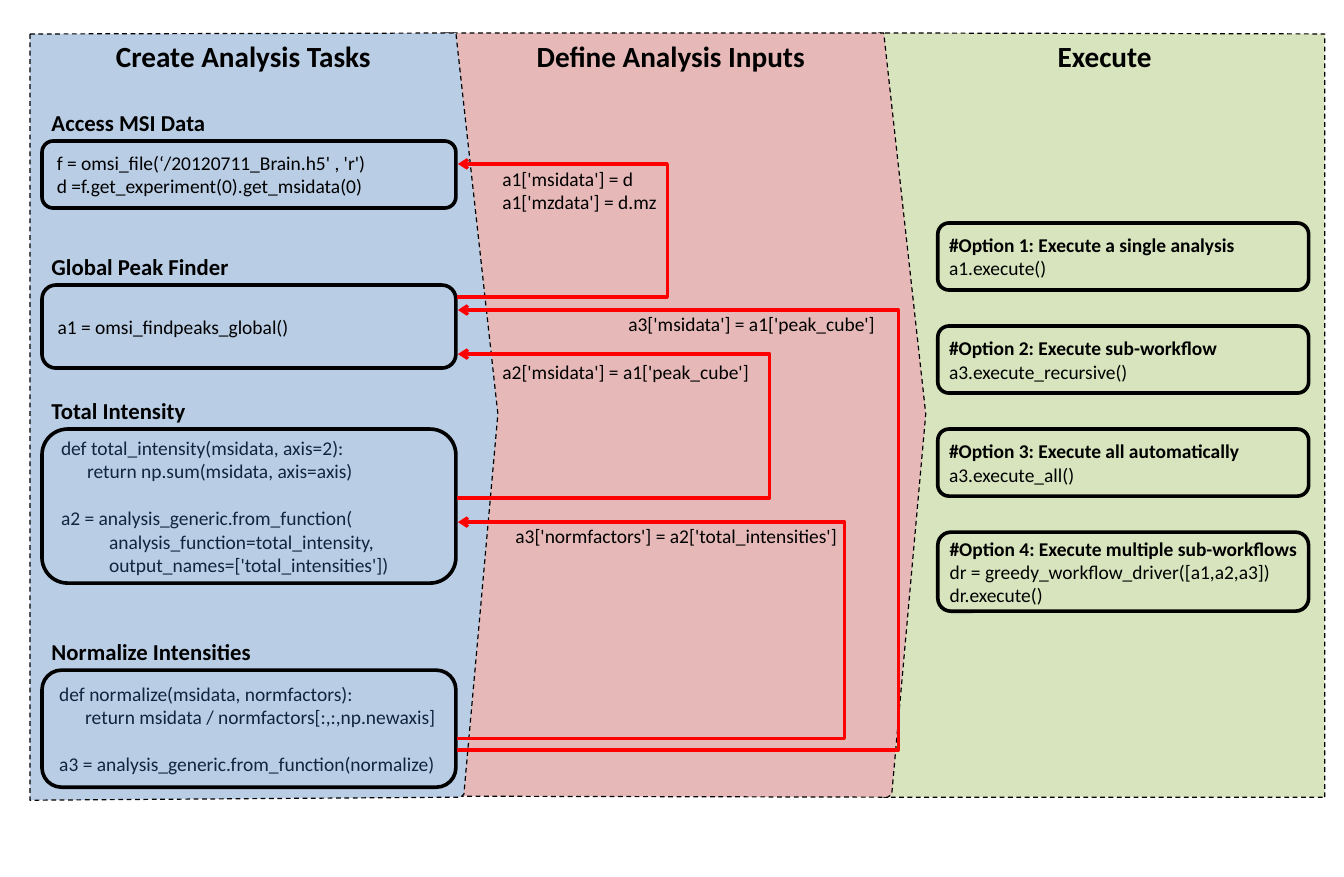
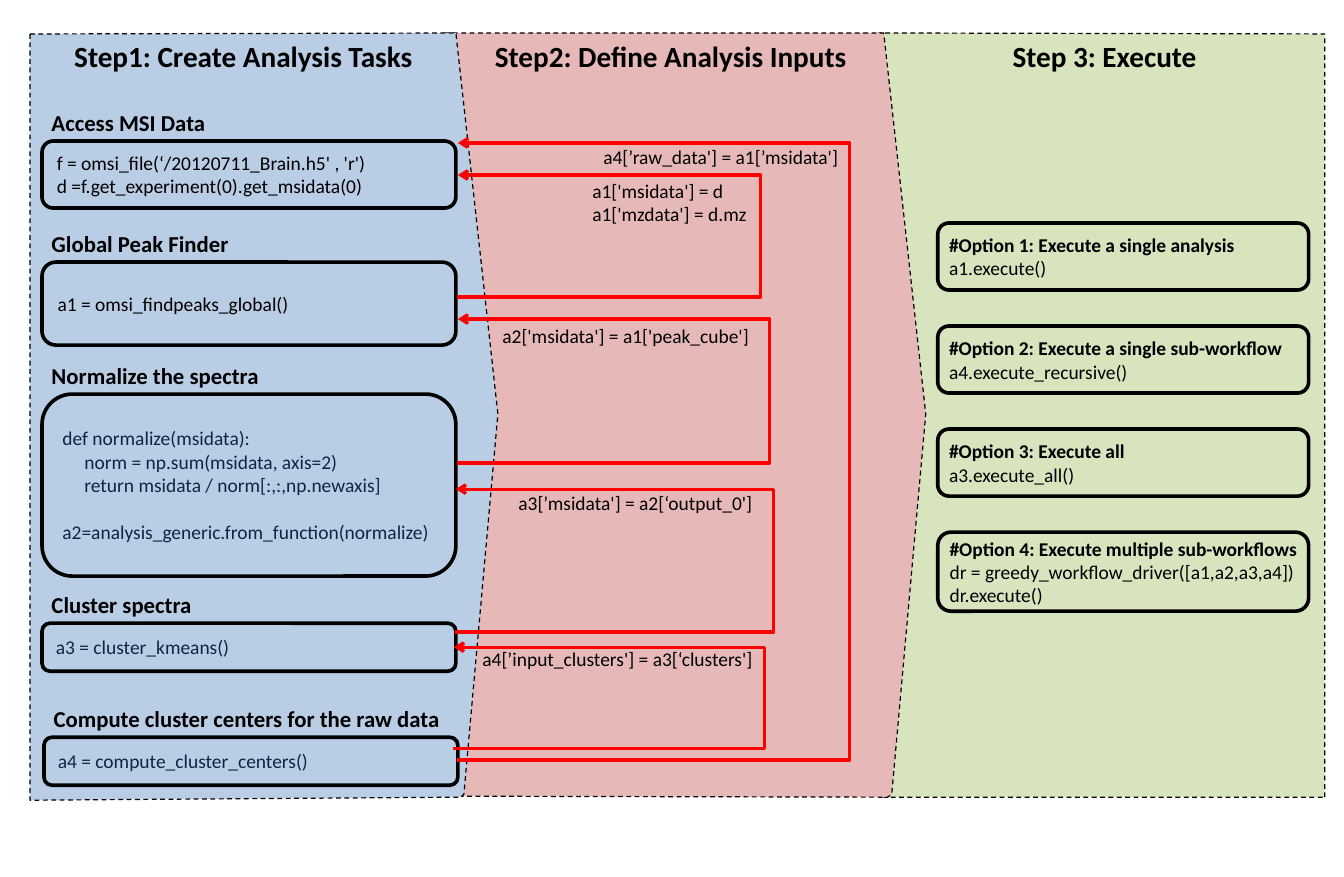
"""Builds two slides showing an analysis workflow in three columns: tasks, inputs, execution."""
from collections import namedtuple
from dataclasses import dataclass

from lxml.etree import SubElement
from pptx import Presentation
from pptx.dml.color import RGBColor as RGB
from pptx.enum.dml import MSO_LINE as Dash
from pptx.enum.shapes import MSO_CONNECTOR as Link, MSO_SHAPE as Preset
from pptx.enum.text import MSO_ANCHOR as Anchor, PP_ALIGN as Align
from pptx.oxml.ns import qn
from pptx.util import Inches, Pt

PX = Inches(1) / 116.9


@dataclass(frozen=True)
class Theme:
    font: str = "Calibri"
    black: RGB = RGB(0x00, 0x00, 0x00)
    navy: RGB = RGB(0x10, 0x25, 0x3F)
    red: RGB = RGB(0xFF, 0x00, 0x00)
    blue_panel: RGB = RGB(0xB9, 0xCD, 0xE5)
    pink_panel: RGB = RGB(0xE6, 0xB9, 0xB8)
    green_panel: RGB = RGB(0xD7, 0xE4, 0xBD)
    column_size: float = 18
    heading_size: float = 14
    code_size: float = 12
    code_gap: float = 14.6
    panel_line: float = 0.75
    box_line: float = 2.25
    arrow_line: float = 2


theme = Theme()
Line = namedtuple("Line", "text indent gap bold", defaults=(0, 0, False))
Task = namedtuple("Task", "heading top height colour code left", defaults=(42,))
Input = namedtuple("Input", "source_y target_y elbow_x label_left label_top label_width code x",
                   defaults=(457,))


def place(slide, left, top, width, height, rounded=False):
    area = [round(length * PX) for length in (left, top, width, height)]
    if not rounded:
        return slide.shapes.add_textbox(*area)
    box = slide.shapes.add_shape(Preset.ROUNDED_RECTANGLE, *area)
    box.shadow.inherit = False
    box.fill.background()
    box.line.color.rgb = theme.black
    box.line.width = Pt(theme.box_line)
    box.text_frame.vertical_anchor = Anchor.MIDDLE
    return box


def write(holder, lines, size, colour=theme.black, align=Align.LEFT):
    frame = holder.text_frame
    frame.word_wrap = True
    frame.text = "\n".join(line.text for line in lines)
    for paragraph, line in zip(frame.paragraphs, lines):
        paragraph.alignment = align
        if line.gap:
            paragraph.space_before = Pt(line.gap)
        if line.indent:
            paragraph._p.get_or_add_pPr().set("marL", str(round(line.indent * PX)))
        font = paragraph.runs[0].font
        font.name, font.size, font.bold = theme.font, Pt(size), line.bold
        font.color.rgb = colour


panels = [
    (theme.green_panel, [(1325, 797), (1325, 34), (879, 33), (876, 36), (842, 416), (884, 797)]),
    (theme.pink_panel, [(443, 33), (443, 796), (888, 797), (892, 794), (926, 414), (884, 33)]),
    (theme.blue_panel, [(30, 34), (30, 800), (461, 797), (464, 794), (498, 414), (456, 33)]),
]
columns = [(30, 427), (456, 430), (885, 440)]

access_data = Task("Access MSI Data", 141, 67, theme.black, [
    Line("f = omsi_file(‘/20120711_Brain.h5' , 'r')"),
    Line("d =f.get_experiment(0).get_msidata(0)"),
])
find_peaks = Task("Global Peak Finder", 285, 83, theme.black, [
    Line("a1 = omsi_findpeaks_global()"),
])
peak_inputs = [Line("a1['msidata'] = d"), Line("a1['mzdata'] = d.mz")]
intensity_inputs = [Line("a2['msidata'] = a1['peak_cube']")]
single_analysis = ["#Option 1: Execute a single analysis", "a1.execute()"]
many_workflows = "#Option 4: Execute multiple sub-workflows"

workflows = [
    {
        "titles": ["Create Analysis Tasks", "Define Analysis Inputs", "Execute"],
        "tasks": [
            access_data,
            find_peaks,
            Task("Total Intensity", 429, 154, theme.navy, [
                Line("def total_intensity(msidata, axis=2):"),
                Line("return np.sum(msidata, axis=axis)", 26),
                Line("a2 = analysis_generic.from_function(", gap=theme.code_gap),
                Line("analysis_function=total_intensity,", 48),
                Line("output_names=['total_intensities'])", 48),
            ]),
            Task("Normalize Intensities", 670, 117, theme.navy, [
                Line("def normalize(msidata, normfactors):"),
                Line("return msidata / normfactors[:,:,np.newaxis]", 26),
                Line("a3 = analysis_generic.from_function(normalize)", gap=theme.code_gap),
            ]),
        ],
        "inputs": [
            Input(750, 310, 893, 617, 306, 274, [Line("a3['msidata'] = a1['peak_cube']")]),
            Input(297, 164, 665, 491, 161, 183, peak_inputs),
            Input(498, 354, 766, 491, 354, 274, intensity_inputs),
            Input(738, 522, 840, 504, 518, 351,
                  [Line("a3['normfactors'] = a2['total_intensities']")]),
        ],
        "options": [
            single_analysis,
            ["#Option 2: Execute sub-workflow", "a3.execute_recursive()"],
            ["#Option 3: Execute all automatically", "a3.execute_all()"],
            [many_workflows, "dr = greedy_workflow_driver([a1,a2,a3])", "dr.execute()"],
        ],
    },
    {
        "titles": ["Step1: Create Analysis Tasks", "Step2: Define Analysis Inputs",
                   "Step 3: Execute"],
        "tasks": [
            access_data,
            find_peaks._replace(top=262),
            Task("Normalize the spectra", 394, 182, theme.navy, [
                Line("def normalize(msidata):"),
                Line("norm = np.sum(msidata, axis=2)", 22),
                Line("return msidata / norm[:,:,np.newaxis]", 22),
                Line("a2=analysis_generic.from_function(normalize)", gap=theme.code_gap),
            ]),
            Task("Cluster spectra", 623, 48, theme.navy, [Line("a3 = cluster_kmeans()")]),
            Task("Compute cluster centers for the raw data", 737, 48, theme.navy,
                 [Line("a4 = compute_cluster_centers()")], 44),
        ],
        "inputs": [
            Input(297, 175, 757, 581, 173, 183, peak_inputs),
            Input(463, 319, 766, 491, 318, 274, intensity_inputs),
            Input(632, 489, 770, 507, 485, 262, [Line("a3[’msidata'] = a2[‘output_0']")], 455),
            Input(748, 647, 761, 471, 641, 299,
                  [Line("a4[’input_clusters'] = a3[‘clusters']")], 453),
            Input(760, 143, 845, 592, 139, 263, [Line("a4[’raw_data'] = a1[’msidata']")]),
        ],
        "options": [
            single_analysis,
            ["#Option 2: Execute a single sub-workflow", "a4.execute_recursive()"],
            ["#Option 3: Execute all", "a3.execute_all()"],
            [many_workflows, "dr = greedy_workflow_driver([a1,a2,a3,a4])", "dr.execute()"],
        ],
    },
]

deck = Presentation()
deck.slide_width, deck.slide_height = Inches(11.5), Inches(7.5)
blank_layout = deck.slide_layouts[6]

for workflow in workflows:
    slide = deck.slides.add_slide(blank_layout)

    for colour, corners in panels:
        outline = slide.shapes.build_freeform(*corners[0], scale=PX)
        outline.add_line_segments(corners[1:], close=True)
        panel = outline.convert_to_shape()
        panel.shadow.inherit = False
        panel.fill.solid()
        panel.fill.fore_color.rgb = colour
        panel.line.color.rgb = theme.black
        panel.line.width = Pt(theme.panel_line)
        panel.line.dash_style = Dash.DASH

    for (left, width), title in zip(columns, workflow["titles"]):
        write(place(slide, left, 33, width, 47), [Line(title, bold=True)],
              theme.column_size, align=Align.CENTER)

    for task in workflow["tasks"]:
        write(place(slide, task.left - 2, task.top - 38, 414, 40),
              [Line(task.heading, bold=True)], theme.heading_size)
        write(place(slide, task.left, task.top, 414, task.height, rounded=True),
              task.code, theme.code_size, task.colour)

    for link in workflow["inputs"]:
        ends = [round(n * PX) for n in (link.x, link.source_y, link.x + 1, link.target_y)]
        arrow = slide.shapes.add_connector(Link.ELBOW, *ends)
        arrow.line.color.rgb = theme.red
        arrow.line.width = Pt(theme.arrow_line)
        SubElement(arrow.line._get_or_add_ln(), qn("a:tailEnd"), type="arrow")
        properties = arrow._element.spPr
        SubElement(properties, qn("a:effectLst"))
        bend = properties.find(qn("a:prstGeom")).get_or_add_avLst()
        SubElement(bend, qn("a:gd"), name="adj1", fmla=f"val {(link.elbow_x - link.x) * 100000}")
        write(place(slide, link.label_left, link.label_top, link.label_width,
                    8 + 27 * len(link.code)), link.code, theme.code_size)

    for row, (caption, *calls) in enumerate(workflow["options"]):
        option = place(slide, 938, 223 + 103 * row, 371, 43 + 12 * (len(calls) + 1), rounded=True)
        option.text_frame.margin_left, option.text_frame.margin_right = round(8 * PX), 0
        write(option, [Line(caption, bold=True), *map(Line, calls)], theme.code_size)

deck.save("out.pptx")
